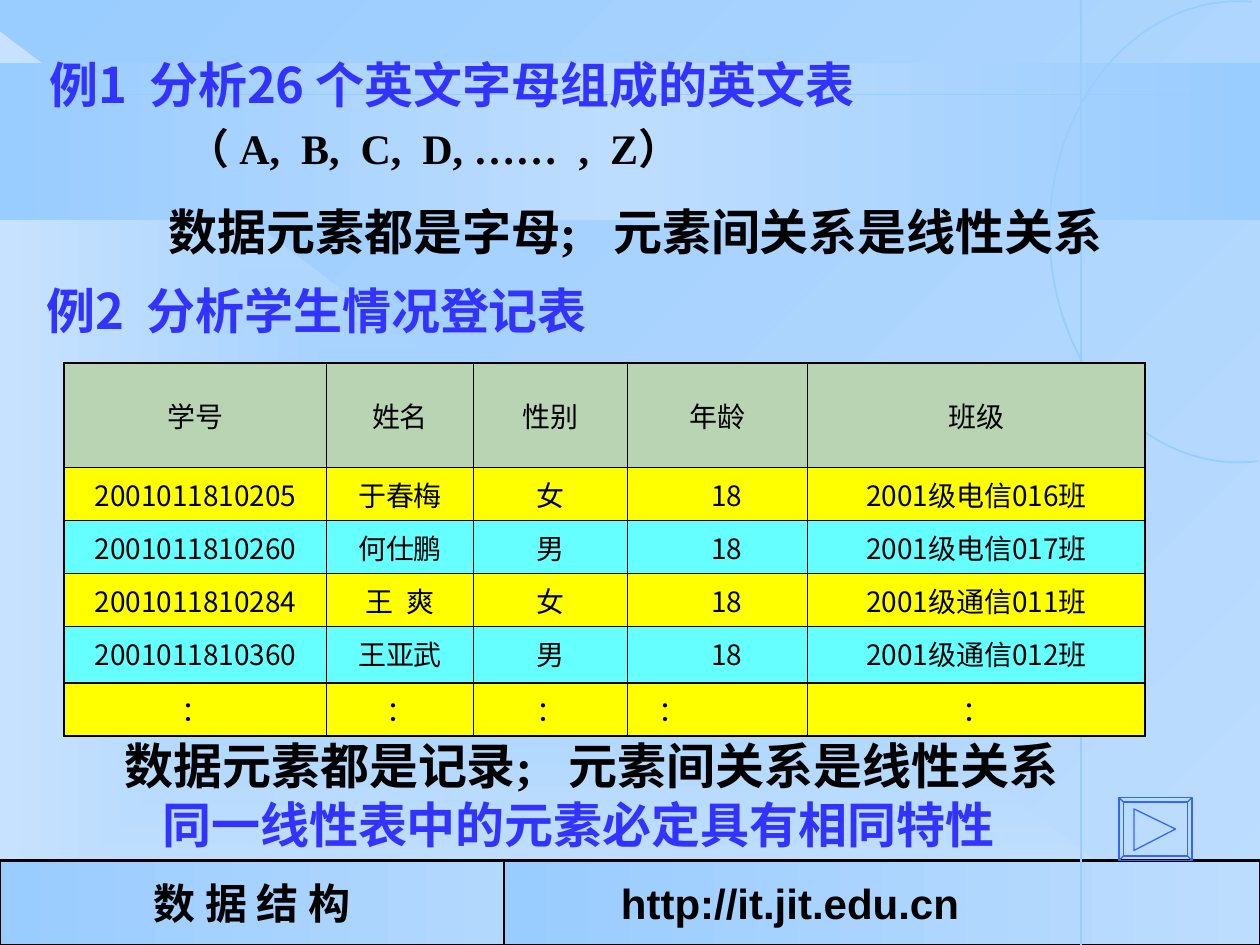
"""Builds a slide on linear lists with two worked examples."""
import math
from dataclasses import dataclass
from typing import Optional

import pptx
import pptx.dml.color
import pptx.enum.shapes
import pptx.enum.text
import pptx.oxml.ns
import pptx.util
from lxml import etree

Inches = pptx.util.Inches
Pt = pptx.util.Pt
RGB = pptx.dml.color.RGBColor.from_string
qn = pptx.oxml.ns.qn
Shape = pptx.enum.shapes.MSO_SHAPE
Align = pptx.enum.text.PP_ALIGN
Anchor = pptx.enum.text.MSO_ANCHOR


@dataclass(frozen=True)
class Theme:
    """Colours, fonts and type sizes of the slide."""
    ink: str = "000000"
    accent: str = "3333FF"
    button: str = "3366FF"
    sky: str = "99CCFF"
    pale: str = "BDDDFE"
    paler: str = "C7E2FE"
    mist: str = "B3D8FE"
    header: str = "B8D4B2"
    bands: tuple = ("FFFF00", "66FFFF")
    cjk: str = "Noto Sans CJK SC"
    serif: str = "Times New Roman"
    sans: str = "Arial"
    heading: int = 28
    text: int = 24
    cell: int = 16


T = Theme()


@dataclass(frozen=True)
class Label:
    """A line of text and its formatting."""
    text: str
    size: int = T.heading
    font: str = T.serif
    color: str = T.ink
    bold: bool = True
    align: Align = Align.LEFT
    indent: float = 0
    spacing: Optional[float] = None


@dataclass(frozen=True)
class Panel:
    """A backdrop shape with a gradient fill."""
    kind: Shape
    box: tuple
    stops: tuple
    angle: Optional[int] = 180
    label: Optional[Label] = None


@dataclass(frozen=True)
class Note:
    """A text box and its label."""
    box: tuple
    label: Label


PANELS = (
    Panel(Shape.RIGHT_TRIANGLE, (0, 0.25, 9.58, 7.25), (T.sky, T.paler), None),
    Panel(Shape.RECTANGLE, (0, 0.5, 10, 1.25), (T.sky, T.pale, T.sky)),
    Panel(Shape.RECTANGLE, (0, 6.83, 4, 0.67), (T.mist, T.sky), 180,
          Label("数 据 结 构", T.text, align=Align.CENTER)),
    Panel(Shape.RECTANGLE, (4, 6.83, 6, 0.67), (T.sky, T.pale), 0,
          Label("http://it.jit.edu.cn", T.text, T.sans, indent=0.83)),
)
TITLE = Label("例1  分析26 个英文字母组成的英文表", font=T.cjk, color=T.accent)
LETTERS = Label("（ A,  B,  C,  D, ……  ,  Z）", T.text, indent=0.26, spacing=0.8)
NOTES = (
    Note((0.27, 2.18, 6.98, 0.57),
         Label("例2  分析学生情况登记表", font=T.cjk, color=T.accent)),
    Note((0.89, 5.88, 8, 0.48),
         Label("数据元素都是记录;   元素间关系是线性关系", spacing=0.8)),
    Note((0.83, 1.55, 8.43, 0.57),
         Label("数据元素都是字母;   元素间关系是线性关系", align=Align.CENTER)),
    Note((1.19, 6.35, 7, 0.48),
         Label("同一线性表中的元素必定具有相同特性", color=T.accent, spacing=0.8)),
)
COLUMNS = (2.08, 1.17, 1.22, 1.43, 2.68)
ROWS = (0.83, 0.37, 0.37, 0.38, 0.45, 0.41)
AGE = 3
STUDENTS = (
    ("学号", "姓名", "性别", "年龄", "班级"),
    ("2001011810205", "于春梅", "女", "18", "2001级电信016班"),
    ("2001011810260", "何仕鹏", "男", "18", "2001级电信017班"),
    ("2001011810284", "王  爽", "女", "18", "2001级通信011班"),
    ("2001011810360", "王亚武", "男", "18", "2001级通信012班"),
    ("：",) * 5,
)


def lengths(values: tuple) -> list:
    """Converts inches to slide units."""
    return [Inches(v) for v in values]


def write(tf, label: Label) -> None:
    """Writes a label into the first paragraph of a text frame."""
    p = tf.paragraphs[0]
    pPr = p._p.get_or_add_pPr()
    pPr.set("marL", str(Inches(label.indent)))
    pPr.set("indent", "0")
    etree.SubElement(pPr, qn("a:buNone"))
    p.alignment = label.align
    p.space_before = Pt(0)
    if label.spacing:
        p.line_spacing = label.spacing
    r = p.add_run()
    r.text = label.text
    r.font.name, r.font.size, r.font.bold = label.font, Pt(label.size), label.bold
    r.font.color.rgb = RGB(label.color)
    etree.SubElement(r._r.get_or_add_rPr(), qn("a:ea"), typeface=T.cjk)


def gradient(fill, element, stops: tuple, angle: Optional[int]) -> None:
    """Fills with evenly spaced stops, along an angle or out from the centre."""
    fill.gradient()
    grad = element.find(".//" + qn("a:gradFill"))
    for child in list(grad):
        grad.remove(child)
    gs_list = etree.SubElement(grad, qn("a:gsLst"))
    for i, color in enumerate(stops):
        gs = etree.SubElement(gs_list, qn("a:gs"), pos=str(100000 * i // (len(stops) - 1)))
        etree.SubElement(gs, qn("a:srgbClr"), val=color)
    if angle is None:
        path = etree.SubElement(grad, qn("a:path"), path="rect")
        etree.SubElement(path, qn("a:fillToRect"), dict.fromkeys("ltrb", "50000"))
    else:
        etree.SubElement(grad, qn("a:lin"), ang=str(angle * 60000), scaled="0")


def outline(shape, color: str, width: float) -> None:
    """Leaves a shape as an unfilled outline."""
    shape.shadow.inherit = False
    shape.fill.background()
    shape.line.color.rgb, shape.line.width = RGB(color), Pt(width)


def add_panel(s, panel: Panel) -> None:
    """Adds a backdrop shape."""
    sp = s.shapes.add_shape(panel.kind, *lengths(panel.box))
    outline(sp, T.ink, 1.5)
    gradient(sp.fill, sp.element, panel.stops, panel.angle)
    if panel.label:
        sp.text_frame.vertical_anchor = Anchor.MIDDLE
        write(sp.text_frame, panel.label)
    else:
        sp.line.fill.background()


def add_line(s, ends: tuple, width: float) -> None:
    """Adds a straight backdrop line."""
    line = s.shapes.add_connector(pptx.enum.shapes.MSO_CONNECTOR.STRAIGHT, *lengths(ends))
    line.line.color.rgb, line.line.width = RGB(T.sky), Pt(width)
    etree.SubElement(line.element.spPr, qn("a:effectLst"))


def add_path(s, points: list, close: bool, color: str, width: float) -> None:
    """Adds an unfilled outline through points."""
    first, *rest = [tuple(lengths(point)) for point in points]
    builder = s.shapes.build_freeform(*first)
    builder.add_line_segments(rest, close=close)
    outline(builder.convert_to_shape(), color, width)


def add_note(s, note: Note) -> None:
    """Adds a text box."""
    tf = s.shapes.add_textbox(*lengths(note.box)).text_frame
    tf.word_wrap = True
    tf.auto_size = pptx.enum.text.MSO_AUTO_SIZE.SHAPE_TO_FIT_TEXT
    write(tf, note.label)


def fill_placeholder(sp, box: tuple, label: Label, anchor: Anchor) -> None:
    """Moves a placeholder in front of the backdrop and writes it."""
    sp.left, sp.top, sp.width, sp.height = lengths(box)
    sp.element.getparent().append(sp.element)
    sp.text_frame.vertical_anchor = anchor
    write(sp.text_frame, label)


def add_borders(cell, heavy: dict) -> None:
    """Draws the four cell borders, heavier where marked."""
    tcPr = cell._tc.get_or_add_tcPr()
    for i, side in enumerate("LRTB"):
        ln = etree.Element(qn("a:ln" + side), w=str(Pt(1.08 if heavy[side] else 0.45)))
        fill = etree.SubElement(ln, qn("a:solidFill"))
        etree.SubElement(fill, qn("a:srgbClr"), val=T.ink)
        tcPr.insert(i, ln)


def add_students(s) -> None:
    """Adds the student register."""
    last_row, last_col = len(ROWS) - 1, len(COLUMNS) - 1
    box = lengths((0.51, 2.88, sum(COLUMNS), sum(ROWS)))
    table = s.shapes.add_table(len(ROWS), len(COLUMNS), *box).table
    table.first_row = table.horz_banding = False
    for column, width in zip(table.columns, COLUMNS):
        column.width = Inches(width)
    for i, (row, height) in enumerate(zip(table.rows, ROWS)):
        row.height = Inches(height)
        for j, cell in enumerate(row.cells):
            cell.fill.solid()
            cell.fill.fore_color.rgb = RGB(T.bands[(i - 1) % 2] if i else T.header)
            cell.vertical_anchor = Anchor.TOP if i else Anchor.MIDDLE
            shifted = j == AGE and i > 0
            align = Align.LEFT if shifted and i == last_row else Align.CENTER
            write(cell.text_frame, Label(STUDENTS[i][j], T.cell, T.cjk, bold=False,
                                         align=align, indent=0.15 if shifted else 0))
            add_borders(cell, {"L": j == 0, "R": j == last_col,
                               "T": i in (0, last_row), "B": i >= last_row - 1})


def main() -> None:
    """Builds and saves the slide."""
    prs = pptx.Presentation()
    prs.slide_width, prs.slide_height = Inches(10), Inches(7.5)
    s = prs.slides.add_slide(prs.slide_layouts[1])
    gradient(s.background.fill, s.element, (T.pale, T.sky), 225)
    for panel in PANELS:
        add_panel(s, panel)
    add_line(s, (0, 0.75, 10, 0.75), 1)
    add_line(s, (8.58, 0, 8.58, 7.5), 1.5)
    angles = [math.radians(a) for a in range(84, 275, 2)]
    arc = [(9.83 + 1.5 * math.cos(a), 1.84 + 1.83 * math.sin(a)) for a in angles]
    add_path(s, arc, False, T.sky, 1)
    fill_placeholder(s.shapes.title, (0.29, 0.33, 8.43, 0.67), TITLE, Anchor.MIDDLE)
    fill_placeholder(s.placeholders[1], (1.13, 1, 6.35, 0.58), LETTERS, Anchor.TOP)
    add_students(s)
    for note in NOTES:
        add_note(s, note)
    button = s.shapes.add_shape(Shape.BEVEL, *lengths((8.88, 6.33, 0.58, 0.5)))
    button.adjustments[0] = 0.07
    outline(button, T.button, 0.75)
    add_path(s, [(9, 6.42), (9.33, 6.58), (9, 6.75)], True, T.button, 0.75)
    prs.save("out.pptx")


if __name__ == "__main__":
    main()
